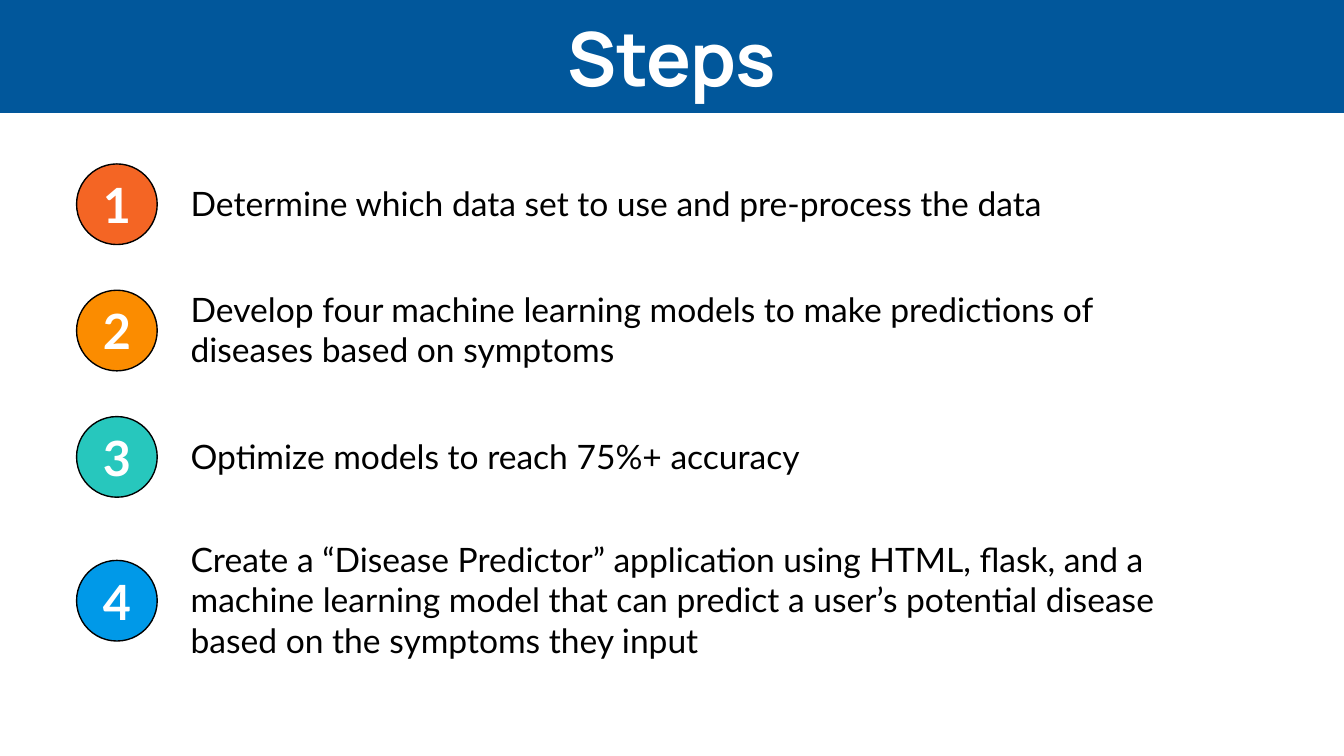
import pptx
import pptx.util
import pptx.dml.color
import pptx.enum.shapes
import pptx.enum.text
from pptx.util import Inches

RGBColor = pptx.dml.color.RGBColor
MSO_ANCHOR = pptx.enum.text.MSO_ANCHOR
MSO_AUTO_SIZE = pptx.enum.text.MSO_AUTO_SIZE
PP_ALIGN = pptx.enum.text.PP_ALIGN

WHITE = RGBColor(0xFF, 0xFF, 0xFF)
BLACK = RGBColor(0x00, 0x00, 0x00)
NAVY = RGBColor(0x01, 0x57, 0x9B)
RED_ORANGE = RGBColor(0xF4, 0x65, 0x24)
ORANGE = RGBColor(0xFB, 0x8C, 0x00)
TEAL = RGBColor(0x27, 0xC7, 0xBD)
BLUE = RGBColor(0x00, 0x99, 0xE8)

TITLE_FONT = {"name": "Manrope", "size": pptx.util.Pt(40), "bold": True}
NUMBER_FONT = {"name": "Lato", "size": pptx.util.Pt(26), "bold": True}
STEP_FONT = {"name": "Lato", "size": pptx.util.Pt(18), "bold": False}

INSET = Inches(0.1)
FRAME_FORMAT = {
    "margin_left": INSET,
    "margin_top": INSET,
    "margin_right": INSET,
    "margin_bottom": INSET,
    "word_wrap": True,
}

SLIDE_WIDTH = Inches(10)
SLIDE_HEIGHT = SLIDE_WIDTH * 9 // 16
BADGE_SIZE = 0.6
LINE_HEIGHT = 0.3

STEPS = [
    (1.52, 1, RED_ORANGE, "Determine which data set to use and pre-process the data"),
    (2.46, 2, ORANGE, "Develop four machine learning models to make predictions of "
                      "diseases based on symptoms"),
    (3.4, 1, TEAL, "Optimize models to reach 75%+ accuracy"),
    (4.47, 3, BLUE, "Create a “Disease Predictor” application using HTML, flask, and a "
                    "machine learning model that can predict a user’s potential disease "
                    "based on the symptoms they input"),
]


def apply_format(target, values):
    for attribute, value in values.items():
        setattr(target, attribute, value)


def write_text(shape, text, font_format, color, alignment, anchor, auto_size):
    frame = shape.text_frame
    apply_format(frame, FRAME_FORMAT)
    apply_format(frame, {"vertical_anchor": anchor, "auto_size": auto_size})
    paragraph = frame.paragraphs[0]
    paragraph.alignment = alignment
    run = paragraph.add_run()
    run.text = text
    apply_format(run.font, font_format)
    run.font.color.rgb = color


def fill_solid(shape, color):
    shape.fill.solid()
    shape.fill.fore_color.rgb = color


def format_title(slide, text):
    title = slide.shapes.title
    apply_format(title, {"left": Inches(0), "top": Inches(0),
                         "width": SLIDE_WIDTH, "height": Inches(0.84)})
    fill_solid(title, NAVY)
    write_text(title, text, TITLE_FONT, WHITE, PP_ALIGN.CENTER,
               MSO_ANCHOR.MIDDLE, MSO_AUTO_SIZE.NONE)


def add_badge(slide, number, center, color):
    badge = slide.shapes.add_shape(
        pptx.enum.shapes.MSO_SHAPE.OVAL, Inches(0.57), Inches(center - BADGE_SIZE / 2),
        Inches(BADGE_SIZE), Inches(BADGE_SIZE))
    badge.shadow.inherit = False
    fill_solid(badge, color)
    badge.line.color.rgb = BLACK
    badge.line.width = pptx.util.Pt(0.75)
    write_text(badge, str(number), NUMBER_FONT, WHITE, PP_ALIGN.CENTER,
               MSO_ANCHOR.MIDDLE, MSO_AUTO_SIZE.NONE)


def add_description(slide, text, center, line_count):
    height = 0.2 + LINE_HEIGHT * line_count
    description = slide.shapes.add_textbox(
        Inches(1.32), Inches(center - 0.01 - height / 2), Inches(7.39), Inches(height))
    write_text(description, text, STEP_FONT, BLACK, PP_ALIGN.LEFT,
               MSO_ANCHOR.TOP, MSO_AUTO_SIZE.SHAPE_TO_FIT_TEXT)


def main():
    presentation = pptx.Presentation()
    presentation.slide_width = SLIDE_WIDTH
    presentation.slide_height = SLIDE_HEIGHT
    slide = presentation.slides.add_slide(presentation.slide_layouts[5])
    format_title(slide, "Steps")
    for number, (center, line_count, color, text) in enumerate(STEPS, start=1):
        add_badge(slide, number, center, color)
        add_description(slide, text, center, line_count)
    presentation.save("out.pptx")


if __name__ == "__main__":
    main()
